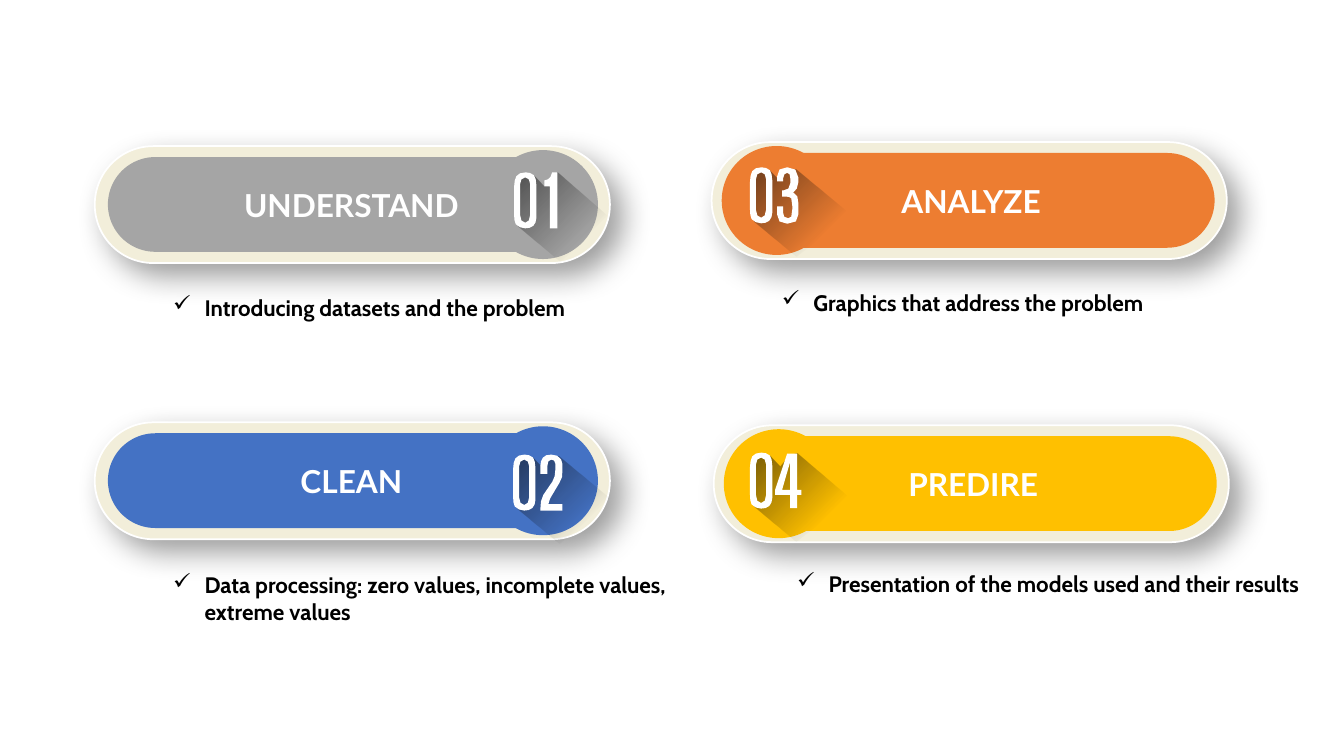
from lxml import etree
from pptx import Presentation
from pptx.dml.color import RGBColor
from pptx.enum.shapes import MSO_SHAPE
from pptx.enum.text import MSO_ANCHOR, MSO_AUTO_SIZE, PP_ALIGN
from pptx.oxml import parse_xml
from pptx.oxml.ns import nsdecls, qn
from pptx.util import Pt

PILL, CIRCLE = MSO_SHAPE.ROUNDED_RECTANGLE, MSO_SHAPE.OVAL
MIDDLE, FIT_SHAPE = MSO_ANCHOR.MIDDLE, MSO_AUTO_SIZE.SHAPE_TO_FIT_TEXT
LEFT, CENTER = PP_ALIGN.LEFT, PP_ALIGN.CENTER
BLACK = RGBColor(0x00, 0x00, 0x00)
WHITE = RGBColor(0xFF, 0xFF, 0xFF)
CREAM = RGBColor(0xF2, 0xEE, 0xDA)
GRAY = RGBColor(0xA5, 0xA5, 0xA5)
BLUE = RGBColor(0x44, 0x72, 0xC4)
ORANGE = RGBColor(0xED, 0x7D, 0x31)
GOLD = RGBColor(0xFF, 0xC0, 0x00)

ZERO = [
    [(8.3, 0), (11.5, 0.5), (14.3, 2.1), (15.5, 5), (16, 9.4), (16, 32.4),
     (15.4, 35.7), (13.8, 38.2), (11.2, 39.6), (8, 40), (4.2, 39.2), (1.2, 37),
     (0.3, 34), (0, 29.5), (0, 10.8), (0.5, 6), (1.7, 2.7), (4.3, 0.7)],
    [(8, 36), (10.6, 34.4), (11.6, 30.2), (11.6, 8.6), (10.6, 5), (8, 3.6),
     (5.3, 5), (4.3, 8.6), (4.3, 30.2), (5.3, 34.4)],
]
ONE = [
    [(0, 5.8), (2.6, 5), (4.5, 3.2), (5.6, 0), (9.4, 0), (9.4, 40), (4, 40),
     (4, 10), (0, 10)],
]
TWO = [
    [(0, 8.6), (0.5, 5), (1.9, 2.2), (4.3, 0.5), (7.9, 0), (12, 0.8), (14.8, 3.3),
     (15.8, 6.5), (15.8, 11.5), (15.6, 16), (13.7, 20.2), (9.4, 27.4), (7, 31.5),
     (5.8, 35.3), (15.8, 35.3), (15.8, 40), (0, 40), (0.5, 33.5), (2.2, 28.8),
     (8.6, 19.4), (10.3, 15.5), (10.8, 10.8), (10.8, 6.5), (9.9, 4.3), (7.9, 3.6),
     (5.8, 4.8), (5, 8.6), (5, 13.7), (0, 13.7)],
]
THREE = [
    [(4.3, 28), (4.3, 32.4), (5, 35.3), (7.9, 36.4), (10.1, 35.3), (10.8, 30.2),
     (10.8, 27.4), (10.1, 22.3), (8.6, 21.2), (5.8, 20.9), (3.6, 20.9), (3.6, 16.6),
     (4.3, 16.6), (8, 15.3), (9.4, 11.5), (9.4, 7.9), (8.9, 5), (7.2, 4), (5.2, 5),
     (4.3, 7.9), (4.3, 10.1), (0, 10.1), (0, 6.5), (1.7, 1.6), (7.2, 0), (13, 1.7),
     (15.1, 7.2), (15.1, 10.8), (14, 15.3), (11.5, 18), (14.4, 20.9), (15.1, 25.2),
     (15.1, 33.8), (13.4, 38.7), (7.2, 40.3), (1.7, 38.7), (0, 33.8), (0, 28)],
]
FOUR = [
    [(8.6, 0), (15.8, 0), (15.8, 25.9), (18.7, 25.9), (18.7, 29.5), (15.8, 29.5),
     (15.8, 39), (10.8, 39), (10.8, 29.5), (0, 29.5), (0, 25.9)],
    [(10.8, 25.9), (10.8, 5.8), (7.9, 15.8), (5, 25.9)],
]

FRAME_SHADOW = (
    f'<a:outerShdw {nsdecls("a")} blurRad="{Pt(22)}" dist="{Pt(12)}" dir="2700000" '
    'algn="tl" rotWithShape="0"><a:srgbClr val="000000"><a:alpha val="38000"/>'
    '</a:srgbClr></a:outerShdw>'
)
STOPS = "".join(
    f'<a:gs pos="{position}000"><a:srgbClr val="0D0D0D"><a:alpha val="{alpha}000"/>'
    '</a:srgbClr></a:gs>'
    for position, alpha in [(0, 55), (73, 0), (100, 0)]
)
FADE = (
    f'<a:gradFill {nsdecls("a")} rotWithShape="1"><a:gsLst>{STOPS}</a:gsLst>'
    '<a:lin ang="2700000" scaled="0"/></a:gradFill>'
)


def write_text(shape, text, size, font, color, alignment=LEFT, bullet=None):
    shape.text_frame.word_wrap = True
    paragraph = shape.text_frame.paragraphs[0]
    paragraph.alignment = alignment
    if bullet:
        properties = paragraph._p.get_or_add_pPr()
        properties.set("marL", str(Pt(22.5)))
        properties.set("indent", str(-Pt(22.5)))
        etree.SubElement(properties, qn("a:buChar")).set("char", bullet)
    run = paragraph.add_run()
    run.text = text
    run.font.size = Pt(size)
    run.font.name = font
    run.font.bold = True
    run.font.color.rgb = color


def draw_outline(shapes, contours, left, top):
    tenths = [[(x * 10, y * 10) for x, y in contour] for contour in contours]
    builder = shapes.build_freeform(*tenths[0][0], scale=Pt(0.1))
    builder.add_line_segments(tenths[0][1:])
    for contour in tenths[1:]:
        builder.move_to(*contour[0])
        builder.add_line_segments(contour[1:])
    outline = builder.convert_to_shape(Pt(left), Pt(top))
    outline.shadow.inherit = False
    outline.fill.solid()
    outline.fill.fore_color.rgb = WHITE
    outline.line.fill.background()
    return outline


presentation = Presentation()
presentation.slide_width = Pt(960)
presentation.slide_height = Pt(540)
slide = presentation.slides.add_slide(presentation.slide_layouts[6])

LEFT_SIDE, RIGHT_SIDE = (9.4, 280.9), (11.5, 7.2)
cards = [
    ("UNDERSTAND", GRAY, 67.7, 104.4, LEFT_SIDE, (299.5, 18.7), ONE, (21.6, 0),
     [(26, 5), (31, 0)]),
    ("CLEAN", BLUE, 67.7, 301.7, LEFT_SIDE, (298.8, 23), TWO, (19.4, 0),
     [(23.8, 2.9), (32.7, 1.4)]),
    ("ANALYZE", ORANGE, 508.3, 101.5, RIGHT_SIDE, (27.4, 18), THREE, (19.4, 0),
     [(23.8, 2.9), (32.7, 1.4)]),
    ("PREDIRE", GOLD, 509.8, 303.8, RIGHT_SIDE, (25.9, 19.5), FOUR, (18, 0.7),
     [(28, 2.2), (33.8, 0.7)]),
]
for label, color, left, top, side, number, digit, digit_offset, peak in cards:
    shapes = slide.shapes.add_group_shape().shapes
    bar_offset, circle_offset = side
    parts = []
    for preset, x, y, width, height, fill in [
        (PILL, 0, 0, 368, 83.5, CREAM),
        (PILL, bar_offset, 7.8, 347.8, 67.7, color),
        (CIRCLE, circle_offset, 2.8, 78.5, 77.8, color),
    ]:
        part = shapes.add_shape(preset, Pt(left + x), Pt(top + y), Pt(width), Pt(height))
        part.shadow.inherit = False
        part.fill.solid()
        part.fill.fore_color.rgb = fill
        part.line.fill.background()
        if preset == PILL:
            part.adjustments[0] = 0.5
        parts.append(part)
    frame, bar, circle = parts
    frame.line.color.rgb = WHITE
    frame.line.width = Pt(1.25)
    frame.element.spPr.find(qn("a:effectLst")).append(parse_xml(FRAME_SHADOW))
    bar.text_frame.vertical_anchor = MIDDLE
    write_text(bar, label, 22.6, "Lato", WHITE, alignment=CENTER)

    number_left, number_top = left + number[0], top + number[1]
    long_shadow = [(33, 63.4), (2.9, 38.5), (2.9, 3.6), (14.4, 2.5), (21.6, 10),
                   *peak, (peak[1][0] + 38.7, 33.4)]
    cast = draw_outline(shapes, [long_shadow], number_left, number_top)
    cast_properties = cast.element.spPr
    cast_properties.replace(cast_properties.find(qn("a:solidFill")), parse_xml(FADE))
    draw_outline(shapes, ZERO, number_left, number_top)
    draw_outline(shapes, digit, number_left + digit_offset[0], number_top + digit_offset[1])

for text, left, top, height in [
    ("Introducing datasets and the problem", 116.6, 206.6, 26.6),
    ("Data processing: zero values, incomplete values, extreme values", 116.6, 404.6, 46),
    ("Graphics that address the problem", 551.5, 203, 26.6),
    ("Presentation of the models used and their results", 562.3, 404, 46),
]:
    note = slide.shapes.add_textbox(Pt(left), Pt(top), Pt(377.3), Pt(height))
    note.text_frame.auto_size = FIT_SHAPE
    write_text(note, text, 16, "Cabin", BLACK, bullet="✓")

presentation.save("out.pptx")
